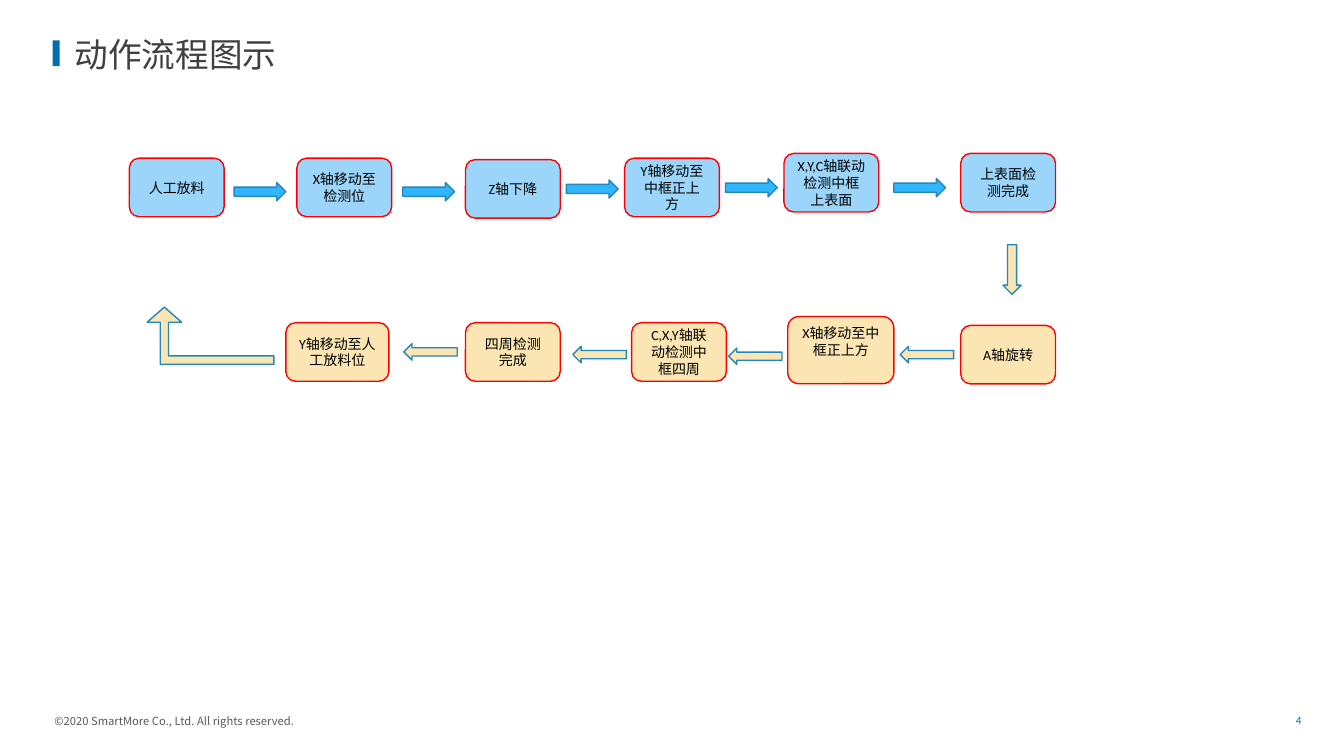
from lxml import etree
from pptx import Presentation
from pptx.dml.color import RGBColor
from pptx.enum import shapes, text
from pptx.oxml import ns
from pptx.util import Pt

BLUE = RGBColor(0x00, 0x6E, 0xB3)
SKY = RGBColor(0x9B, 0xD5, 0xFA)
AZURE = RGBColor(0x31, 0xB6, 0xFD)
SAND = RGBColor(0xFB, 0xE6, 0xB3)
RED = RGBColor(0xFF, 0x00, 0x00)
TEAL = RGBColor(0x24, 0x87, 0xBB)
BLACK = RGBColor(0x00, 0x00, 0x00)
GREY = RGBColor(0x59, 0x59, 0x59)
DARK = RGBColor(0x40, 0x40, 0x40)

KIND = shapes.MSO_SHAPE
ALIGN = text.PP_ALIGN
HAN = "Noto Sans CJK SC"

STEP_W, STEP_H = 67.7, 41.8
TOP_STEPS = [
    ("人工放料", 92.4, 113),
    ("X轴移动至检测位", 212.1, 113),
    ("Z轴下降", 332.5, 114),
    ("Y轴移动至中框正上方", 446.2, 113),
    ("X,Y,C轴联动检测中框上表面", 560, 109.6),
    ("上表面检测完成", 686.3, 109.6),
]
LOW_STEPS = [
    ("A轴旋转", 686.3, 232.4, STEP_W, STEP_H, 3.6),
    ("X轴移动至中框正上方", 562.7, 226.1, 75.8, 48, 15.8),
    ("C,X,Y轴联动检测中框四周", 451.2, 230.5, STEP_W, STEP_H, 3.6),
    ("四周检测完成", 332.5, 230.5, STEP_W, STEP_H, 3.6),
    ("Y轴移动至人工放料位", 204.2, 230.5, 73.6, STEP_H, 3.6),
]
RIGHT = [(167.2, 130.4), (287.7, 130.4), (404.6, 128.5), (518.2, 127.6), (638.4, 127.6)]
LEFT = [(643, 247.4), (520.4, 248.6), (409.2, 247.4), (288.4, 245.5)]


def place(item, x, y, w, h):
    item.left, item.top, item.width, item.height = Pt(x), Pt(y), Pt(w), Pt(h)


def write(item, words, size, color, font, align=ALIGN.CENTER, inset=5):
    frame = item.text_frame
    frame.vertical_anchor = text.MSO_ANCHOR.MIDDLE
    frame.margin_left = frame.margin_right = Pt(inset)
    frame.margin_top = frame.margin_bottom = Pt(min(inset, 3.6))
    para = frame.paragraphs[0]
    para.alignment = align
    run = para.add_run()
    run.text = words
    run.font.size = Pt(size)
    run.font.name = font
    run.font.color.rgb = color
    etree.SubElement(run.font._element, ns.qn("a:ea")).set("typeface", HAN)
    return frame


def draw(slide, kind, x, y, w, h, fill, line=None):
    item = slide.shapes.add_shape(kind, Pt(x), Pt(y), Pt(w), Pt(h))
    item.shadow.inherit = False
    item.fill.solid()
    item.fill.fore_color.rgb = fill
    if line is None:
        item.line.fill.background()
    else:
        item.line.color.rgb = line
        item.line.width = Pt(1)
    return item


def step(slide, words, x, y, w, h, fill, base=3.6):
    item = draw(slide, KIND.ROUNDED_RECTANGLE, x, y, w, h, fill, RED)
    frame = write(item, words, 10, BLACK, "Calibri", inset=7.2)
    frame.word_wrap = True
    frame.margin_bottom = Pt(base)


def note(slide, words, x, y, w, h, color, font):
    item = slide.shapes.add_textbox(Pt(x), Pt(y), Pt(w), Pt(h))
    write(item, words, 8, color, font).word_wrap = False


def head(slide):
    draw(slide, KIND.RECTANGLE, 37.6, 28.8, 5, 18.4, BLUE)
    title = slide.shapes.title
    place(title, 49, 22.3, 713.5, 32.4)
    write(title, "动作流程图示", 24, DARK, HAN, ALIGN.LEFT, 4.3)


def flow(slide):
    for words, x, y in TOP_STEPS:
        step(slide, words, x, y, STEP_W, STEP_H, SKY)
    for words, x, y, w, h, base in LOW_STEPS:
        step(slide, words, x, y, w, h, SAND, base)
    for x, y in RIGHT:
        draw(slide, KIND.RIGHT_ARROW, x, y, 37, 13, AZURE, TEAL)
    for x, y in LEFT:
        draw(slide, KIND.LEFT_ARROW, x, y, 38.2, 11.8, SAND, TEAL)
    draw(slide, KIND.DOWN_ARROW, 716.4, 174.8, 13, 35.4, SAND, TEAL)
    bend = draw(slide, KIND.BENT_UP_ARROW, 105.1, 219.4, 90.5, 40.8, SAND, TEAL)
    for i, ratio in enumerate((0.146, 0.302, 0.264)):
        bend.adjustments[i] = ratio
    bend._element.spPr.find(ns.qn("a:xfrm")).set("flipH", "1")


def main():
    deck = Presentation()
    deck.slide_width, deck.slide_height = Pt(960), Pt(540)
    slide = deck.slides.add_slide(deck.slide_layouts[5])
    head(slide)
    flow(slide)
    note(slide, "©2020 SmartMore Co., Ltd. All rights reserved.",
         31.7, 504.7, 185.8, 20.2, GREY, "Noto Sans CJK JP")
    note(slide, "4", 917.3, 504, 20.9, 20.2, BLUE, "Calibri")
    deck.save("out.pptx")


if __name__ == "__main__":
    main()
